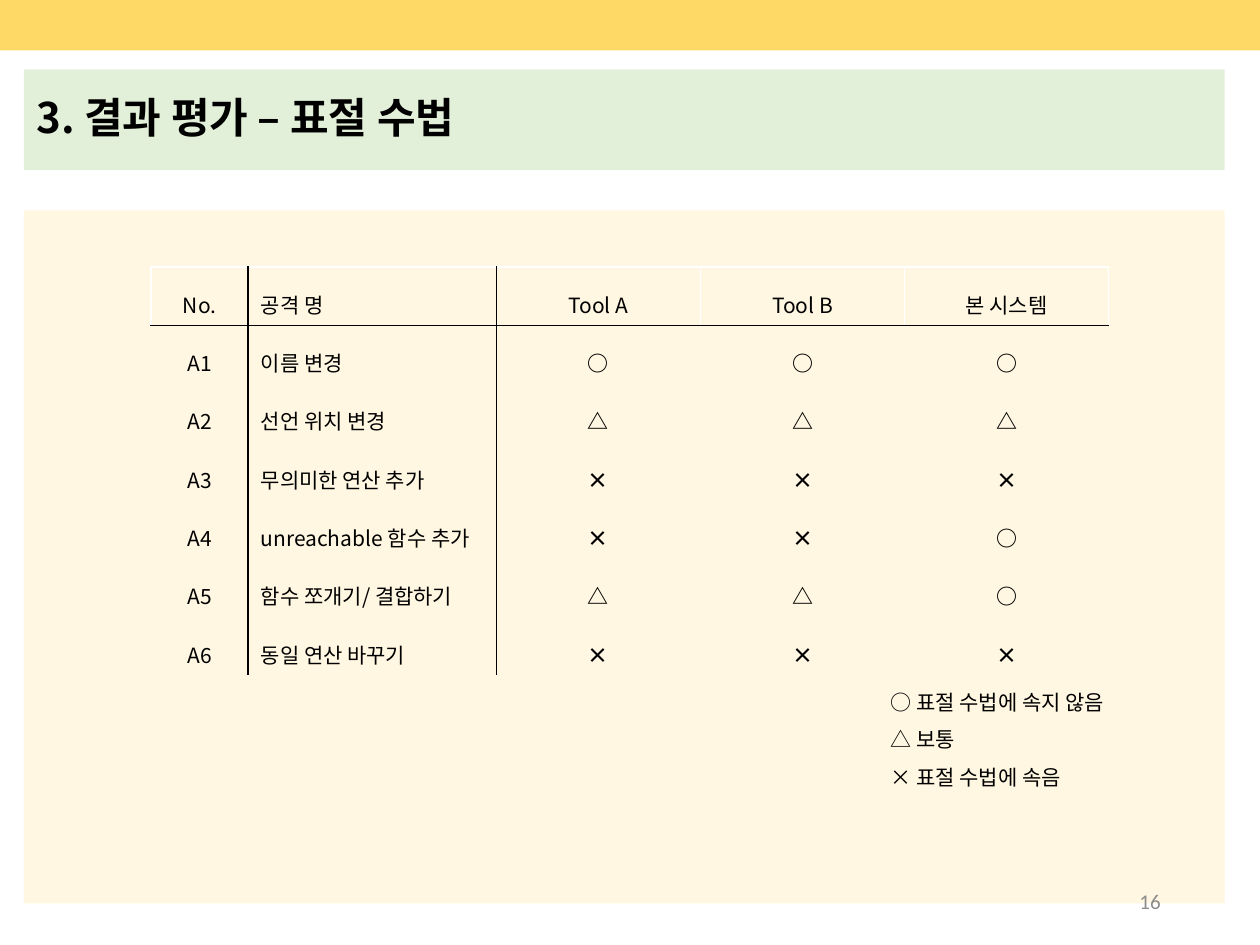
from lxml.etree import SubElement
from pptx import Presentation
from pptx.dml.color import RGBColor
from pptx.enum.shapes import MSO_SHAPE
from pptx.enum.text import MSO_ANCHOR, PP_ALIGN
from pptx.oxml.ns import qn
from pptx.util import Inches, Pt

TITLE = "3. 결과 평가 – 표절 수법"
HEADER = ["No.", "공격 명", "Tool A", "Tool B", "본 시스템"]
ATTACKS = [
    ("이름 변경", "○○○"),
    ("선언 위치 변경", "△△△"),
    ("무의미한 연산 추가", "×××"),
    ("unreachable 함수 추가", "××○"),
    ("함수 쪼개기/ 결합하기", "△△○"),
    ("동일 연산 바꾸기", "×××"),
]
LEGEND = ["○ 표절 수법에 속지 않음", "△ 보통", "× 표절 수법에 속음"]
PAGE_NUMBER = "16"

THEME = {
    "font": "Noto Sans CJK KR", "number_font": "Calibri",
    "title_size": 24, "body_size": 12,
    "ink": "000000", "muted": "8C8C8C", "white": "FFFFFF",
    "top_bar": "FFD966", "title_band": "E2F0D9", "panel": "FFF7E1",
}
COLUMN_WIDTHS = [0.77, 1.97, 1.62, 1.62, 1.62]
ROW_HEIGHT = 0.42


def add_band(page, left, top, width, height, color):
    band = page.shapes.add_shape(MSO_SHAPE.RECTANGLE, Inches(left), Inches(top),
                                 Inches(width), Inches(height))
    band.shadow.inherit = False
    band.fill.solid()
    band.fill.fore_color.rgb = RGBColor.from_string(THEME[color])
    band.line.fill.background()
    return band


def write_lines(frame, lines, align=PP_ALIGN.LEFT, spacing=1.5, size="body_size",
                font="font", color="ink", bold=False):
    for index, line in enumerate(lines):
        para = frame.add_paragraph() if index else frame.paragraphs[0]
        para.alignment = align
        para.line_spacing = spacing
        span = para.add_run()
        span.text = line
        span.font.name = THEME[font]
        span.font.size = Pt(THEME[size])
        span.font.bold = bold
        span.font.color.rgb = RGBColor.from_string(THEME[color])
        east_asian = SubElement(span.font._element, qn("a:ea"))
        east_asian.set("typeface", THEME[font])


def add_text_box(page, left, top, width, height):
    box = page.shapes.add_textbox(Inches(left), Inches(top), Inches(width), Inches(height))
    box.text_frame.word_wrap = True
    return box.text_frame


def set_borders(cell, colors):
    """Draw the left, right, top and bottom edges; None leaves an edge empty."""
    properties = cell._tc.get_or_add_tcPr()
    for index, (side, color) in enumerate(zip("LRTB", colors)):
        line = properties.makeelement(qn(f"a:ln{side}"), {"w": str(Pt(1))})
        properties.insert(index, line)
        if color:
            fill = SubElement(line, qn("a:solidFill"))
            SubElement(fill, qn("a:srgbClr")).set("val", THEME[color])
        else:
            SubElement(line, qn("a:noFill"))


def border_colors(row, column):
    """Ink around the name column and below the header, white elsewhere in the header."""
    plain = "white" if row == 0 else None
    left = "ink" if column in (1, 2) else plain
    right = "ink" if column in (0, 1) else plain
    top = {0: "white", 1: "ink"}.get(row)
    bottom = "ink" if row == 0 else None
    return left, right, top, bottom


def add_result_table(page):
    rows = [HEADER] + [[f"A{number}", name, *marks]
                       for number, (name, marks) in enumerate(ATTACKS, 1)]
    table = page.shapes.add_table(
        len(rows), len(HEADER), Inches(1.2), Inches(2.12),
        Inches(sum(COLUMN_WIDTHS)), Inches(ROW_HEIGHT * len(rows))).table
    table.first_row = False
    table.horz_banding = False
    for column, width in zip(table.columns, COLUMN_WIDTHS):
        column.width = Inches(width)
    for r, values in enumerate(rows):
        table.rows[r].height = Inches(ROW_HEIGHT)
        for c, value in enumerate(values):
            cell = table.cell(r, c)
            cell.fill.background()
            align = PP_ALIGN.LEFT if c == 1 else PP_ALIGN.CENTER
            write_lines(cell.text_frame, [value], align, bold=r > 0 and c > 1)
            set_borders(cell, border_colors(r, c))


def main():
    deck = Presentation()
    deck.slide_width, deck.slide_height = Inches(10), Inches(7.5)
    page = deck.slides.add_slide(deck.slide_layouts[6])

    add_band(page, 0.19, 1.67, 9.53, 5.5, "panel")
    add_band(page, -0.03, -0.03, 10.17, 0.43, "top_bar")
    title = add_band(page, 0.19, 0.55, 9.53, 0.8, "title_band").text_frame
    title.word_wrap = True
    title.vertical_anchor = MSO_ANCHOR.MIDDLE
    write_lines(title, [TITLE], spacing=0.9, size="title_size", bold=True)

    add_result_table(page)
    write_lines(add_text_box(page, 6.97, 5.32, 1.99, 1.31), LEGEND)

    number = add_text_box(page, 7.06, 6.95, 2.25, 0.4)
    number.vertical_anchor = MSO_ANCHOR.MIDDLE
    write_lines(number, [PAGE_NUMBER], PP_ALIGN.RIGHT, spacing=1.0,
                font="number_font", color="muted")
    deck.save("out.pptx")


if __name__ == "__main__":
    main()
